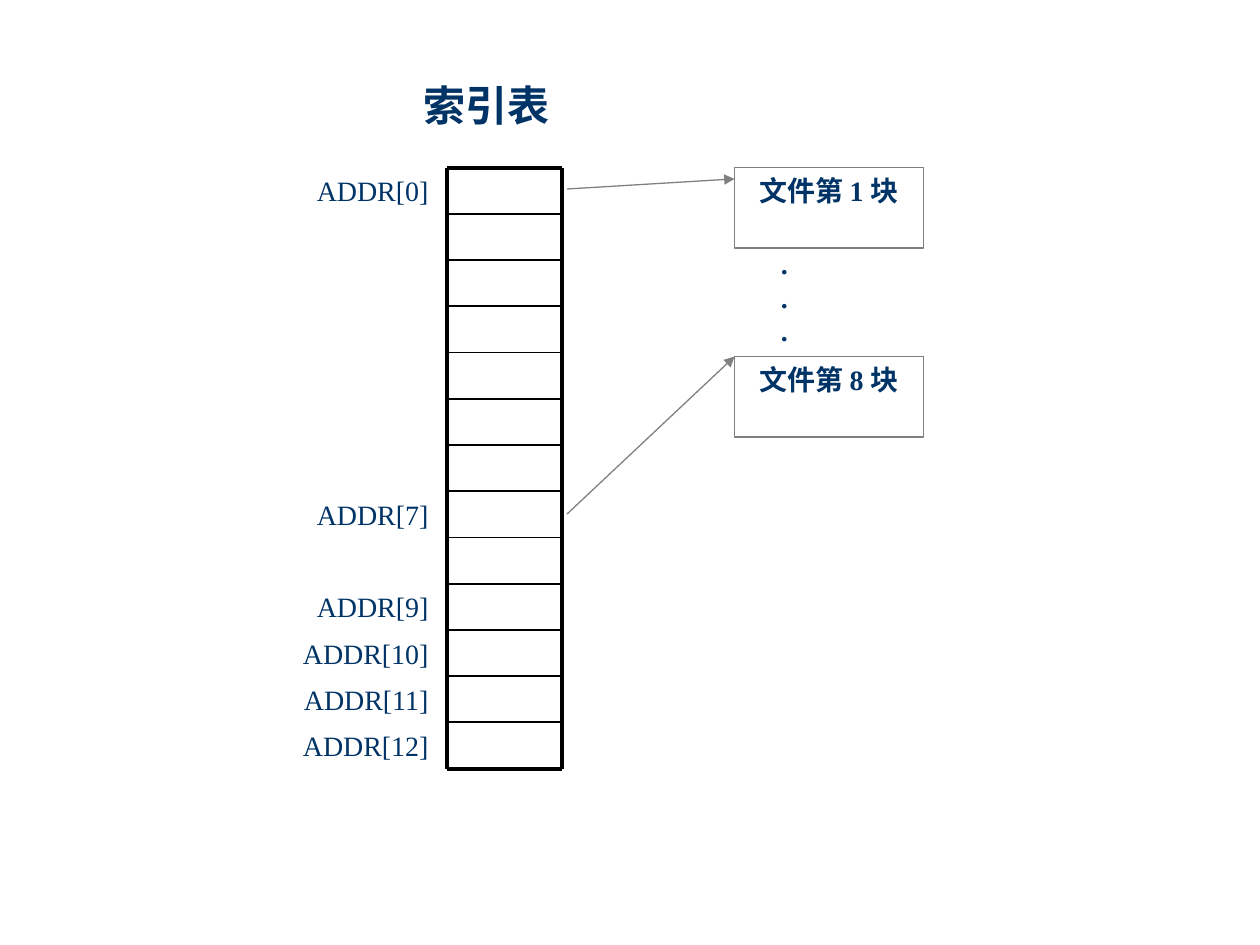
from dataclasses import dataclass

from lxml.etree import SubElement
from pptx import Presentation
from pptx.dml.color import RGBColor
from pptx.enum.shapes import MSO_CONNECTOR, MSO_SHAPE
from pptx.enum.text import MSO_ANCHOR, MSO_AUTO_SIZE, PP_ALIGN
from pptx.oxml.ns import qn
from pptx.util import Inches, Pt


@dataclass(frozen=True)
class Theme:
    font: str = "Times New Roman"
    ink: RGBColor = RGBColor(0x00, 0x33, 0x66)
    grid: RGBColor = RGBColor(0x00, 0x00, 0x00)
    link: RGBColor = RGBColor(0x80, 0x80, 0x80)
    title_size: Pt = Pt(24)
    text_size: Pt = Pt(16)
    frame_width: Pt = Pt(2.25)
    row_width: Pt = Pt(1)
    link_width: Pt = Pt(0.75)


@dataclass(frozen=True)
class Box:
    left: float
    top: float
    width: float
    height: float

    def lengths(self):
        return [Inches(value) for value in (self.left, self.top, self.width, self.height)]


THEME = Theme()
ROW_COUNT = 13
LABELLED_ROWS = (0, 7, 9, 10, 11, 12)


def write(shape, lines, size=THEME.text_size, bold=False, align=PP_ALIGN.CENTER, wrap=True):
    frame = shape.text_frame
    frame.text = "\n".join(lines)
    frame.auto_size = MSO_AUTO_SIZE.NONE
    frame.word_wrap = wrap
    frame.vertical_anchor = MSO_ANCHOR.TOP
    for para in frame.paragraphs:
        para.alignment = align
        para.font.name = THEME.font
        para.font.size = size
        para.font.bold = bold
        para.font.color.rgb = THEME.ink


def add_line(page, start, end, color, width, arrow=False):
    points = [Inches(value) for value in (*start, *end)]
    line = page.shapes.add_connector(MSO_CONNECTOR.STRAIGHT, *points)
    line.line.color.rgb = color
    line.line.width = width
    properties = line._element.spPr
    if arrow:
        SubElement(properties.find(qn("a:ln")), qn("a:tailEnd"), type="triangle")
    SubElement(properties, qn("a:effectLst"))


def add_title(page, box):
    title = page.shapes.title
    title.left, title.top, title.width, title.height = box.lengths()
    write(title, ["索引表"], THEME.title_size, bold=True, wrap=False)
    title.text_frame.margin_left = title.text_frame.margin_right = Inches(0)


def add_index_table(page, box):
    right, bottom = box.left + box.width, box.top + box.height
    step = box.height / ROW_COUNT
    for row in range(ROW_COUNT + 1):
        y = box.top + row * step
        width = THEME.frame_width if row in (0, ROW_COUNT) else THEME.row_width
        add_line(page, (box.left, y), (right, y), THEME.grid, width)
    for x in (box.left, right):
        add_line(page, (x, box.top), (x, bottom), THEME.grid, THEME.frame_width)


def add_labels(page, box):
    step = box.height / ROW_COUNT
    for row in LABELLED_ROWS:
        cell = Box(box.left, box.top + row * step, box.width, step)
        label = page.shapes.add_textbox(*cell.lengths())
        write(label, [f"ADDR[{row}]"], align=PP_ALIGN.RIGHT)


def add_file_block(page, box, number):
    block = page.shapes.add_shape(MSO_SHAPE.RECTANGLE, *box.lengths())
    block.shadow.inherit = False
    block.fill.background()
    block.line.color.rgb = THEME.link
    block.line.width = THEME.link_width
    write(block, [f"文件第 {number} 块"], bold=True)


def add_dots(page, box):
    dots = page.shapes.add_textbox(*box.lengths())
    write(dots, ["."] * 3, bold=True, wrap=False)


def main():
    deck = Presentation()
    deck.slide_width, deck.slide_height = Inches(10), Inches(7.5)
    page = deck.slides.add_slide(deck.slide_layouts[5])
    add_title(page, Box(3.26, 0.58, 1.2, 0.5))
    add_index_table(page, Box(3.55, 1.33, 0.91, 4.77))
    add_labels(page, Box(2, 1.33, 1.5, 4.77))
    for number, top in ((1, 1.33), (8, 2.83)):
        add_file_block(page, Box(5.83, top, 1.5, 0.64), number)
    add_dots(page, Box(6.1, 1.91, 0.25, 0.9))
    for start, end in (((4.5, 1.5), (5.83, 1.42)), ((4.5, 4.08), (5.83, 2.83))):
        add_line(page, start, end, THEME.link, THEME.link_width, arrow=True)
    deck.save("out.pptx")


if __name__ == "__main__":
    main()
